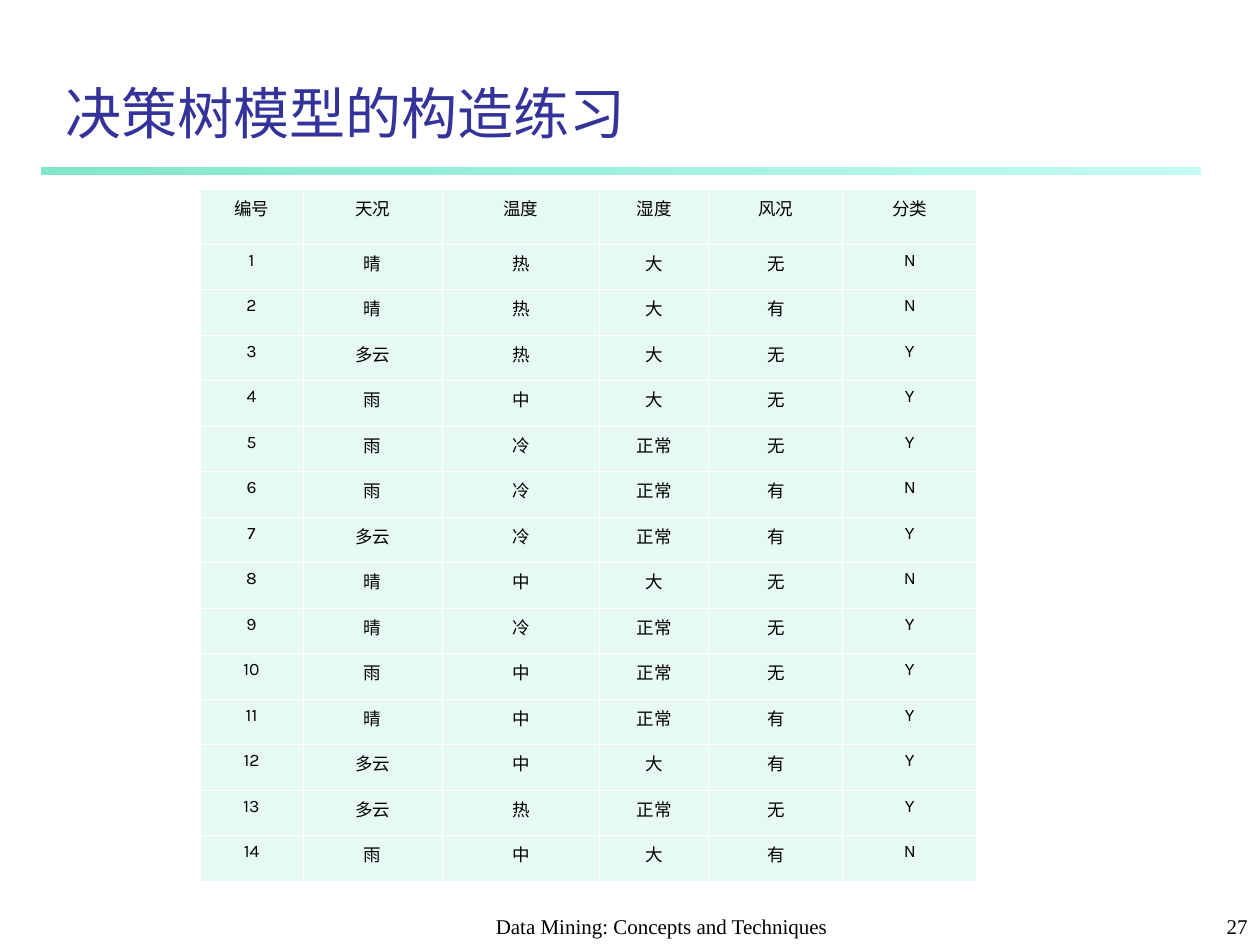
from lxml import etree
from pptx import Presentation
from pptx.dml.color import RGBColor
from pptx.enum.shapes import MSO_SHAPE
from pptx.enum.text import MSO_ANCHOR, PP_ALIGN
from pptx.oxml.ns import qn
from pptx.util import Cm, Pt

LEFT, MID, RIGHT = PP_ALIGN.LEFT, PP_ALIGN.CENTER, PP_ALIGN.RIGHT
TOP, CENTER, BOTTOM = MSO_ANCHOR.TOP, MSO_ANCHOR.MIDDLE, MSO_ANCHOR.BOTTOM
RECT = MSO_SHAPE.RECTANGLE
SANS, SERIF = "Karla", "Times New Roman"

TITLE = "决策树模型的构造练习"
FOOTER = "Data Mining: Concepts and Techniques"
PAGE = "27"
HEAD = ("编号", "天况", "温度", "湿度", "风况", "分类")
DAYS = [
    ("晴", "热", "大", "无", "N"),
    ("晴", "热", "大", "有", "N"),
    ("多云", "热", "大", "无", "Y"),
    ("雨", "中", "大", "无", "Y"),
    ("雨", "冷", "正常", "无", "Y"),
    ("雨", "冷", "正常", "有", "N"),
    ("多云", "冷", "正常", "有", "Y"),
    ("晴", "中", "大", "无", "N"),
    ("晴", "冷", "正常", "无", "Y"),
    ("雨", "中", "正常", "无", "Y"),
    ("晴", "中", "正常", "有", "Y"),
    ("多云", "中", "大", "有", "Y"),
    ("多云", "热", "正常", "无", "Y"),
    ("雨", "中", "大", "有", "N"),
]
WIDTHS = (2.08, 2.8, 3.18, 2.2, 2.7, 2.7)
HEAD_H, TABLE_H = 1.1, 13.94
STOPS = (("00CE98", 50), ("8FF9EF", 52))


def color(code):
    return RGBColor.from_string(code)


def write(frame, text, size=10, font=SANS, ink="000000", align=MID, anchor=TOP):
    frame.word_wrap = True
    frame.vertical_anchor = anchor
    para = frame.paragraphs[0]
    para.alignment = align
    run = para.add_run()
    run.text = text
    run.font.size = Pt(size)
    run.font.name = font
    run.font.color.rgb = color(ink)


def label(slide, box, text, **style):
    shape = slide.shapes.add_textbox(*map(Cm, box))
    write(shape.text_frame, text, **style)


def add_rule(slide):
    bar = slide.shapes.add_shape(RECT, Cm(0.83), Cm(3.37), Cm(23.37), Cm(0.14))
    bar.shadow.inherit = False
    bar.line.fill.background()
    bar.fill.gradient()
    bar.fill.gradient_angle = 0
    for stop, (code, alpha) in zip(bar.fill.gradient_stops, STOPS):
        stop.color.rgb = color(code)
        node = stop.color._xFill if hasattr(stop.color, "_xFill") else None
    for node, (code, alpha) in zip(bar._element.iter(qn("a:srgbClr")), STOPS):
        etree.SubElement(node, qn("a:alpha"), val=str(alpha * 1000))


def edge(cell, code, width):
    props = cell._tc.get_or_add_tcPr()
    for side in ("lnL", "lnR", "lnT", "lnB"):
        line = etree.SubElement(props, qn("a:" + side), w=str(Pt(width)))
        fill = etree.SubElement(line, qn("a:solidFill"))
        etree.SubElement(fill, qn("a:srgbClr"), val=code)


def add_grid(slide):
    rows = [HEAD] + [(str(num), *day) for num, day in enumerate(DAYS, 1)]
    frame = slide.shapes.add_table(
        len(rows), len(HEAD), Cm(4.03), Cm(3.82), Cm(sum(WIDTHS)), Cm(TABLE_H))
    table = frame.table
    for col, width in zip(table.columns, WIDTHS):
        col.width = Cm(width)
    for row in table.rows:
        row.height = Cm((TABLE_H - HEAD_H) / len(DAYS))
    table.rows[0].height = Cm(HEAD_H)
    for row, texts in zip(table.rows, rows):
        for cell, text in zip(row.cells, texts):
            edge(cell, "FFFFFF", 0.45)
            cell.fill.solid()
            cell.fill.fore_color.rgb = color("E7FAF1")
            write(cell.text_frame, text)


def main():
    deck = Presentation()
    deck.slide_width, deck.slide_height = Cm(25.4), Cm(19.05)
    slide = deck.slides.add_slide(deck.slide_layouts[6])
    add_rule(slide)
    label(slide, (1.07, 1.07, 15.93, 2.38), TITLE,
          size=32, ink="333399", align=LEFT, anchor=CENTER)
    add_grid(slide)
    foot = {"size": 12, "font": SERIF, "anchor": BOTTOM}
    label(slide, (9.31, 17.99, 8.06, 1.06), FOOTER, **foot)
    label(slide, (20.11, 17.99, 5.29, 1.06), PAGE, align=RIGHT, **foot)
    deck.save("out.pptx")


if __name__ == "__main__":
    main()
